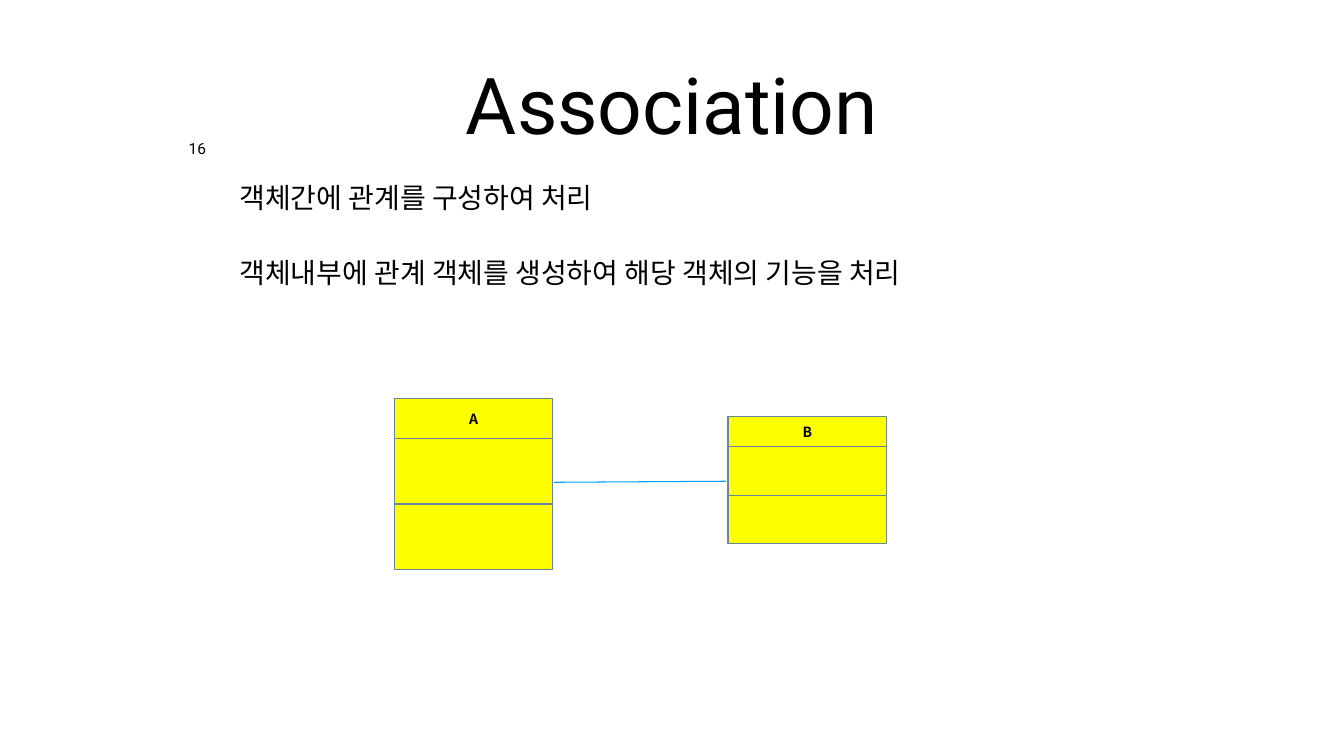
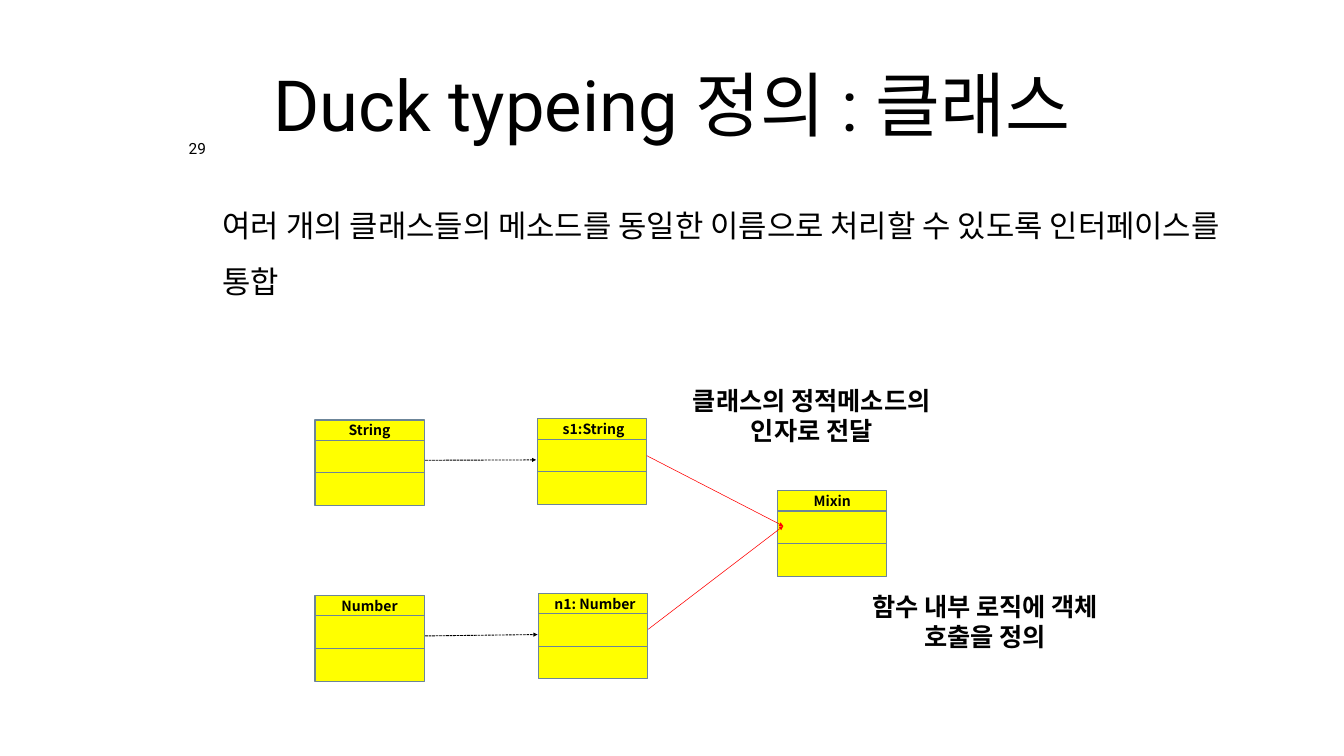
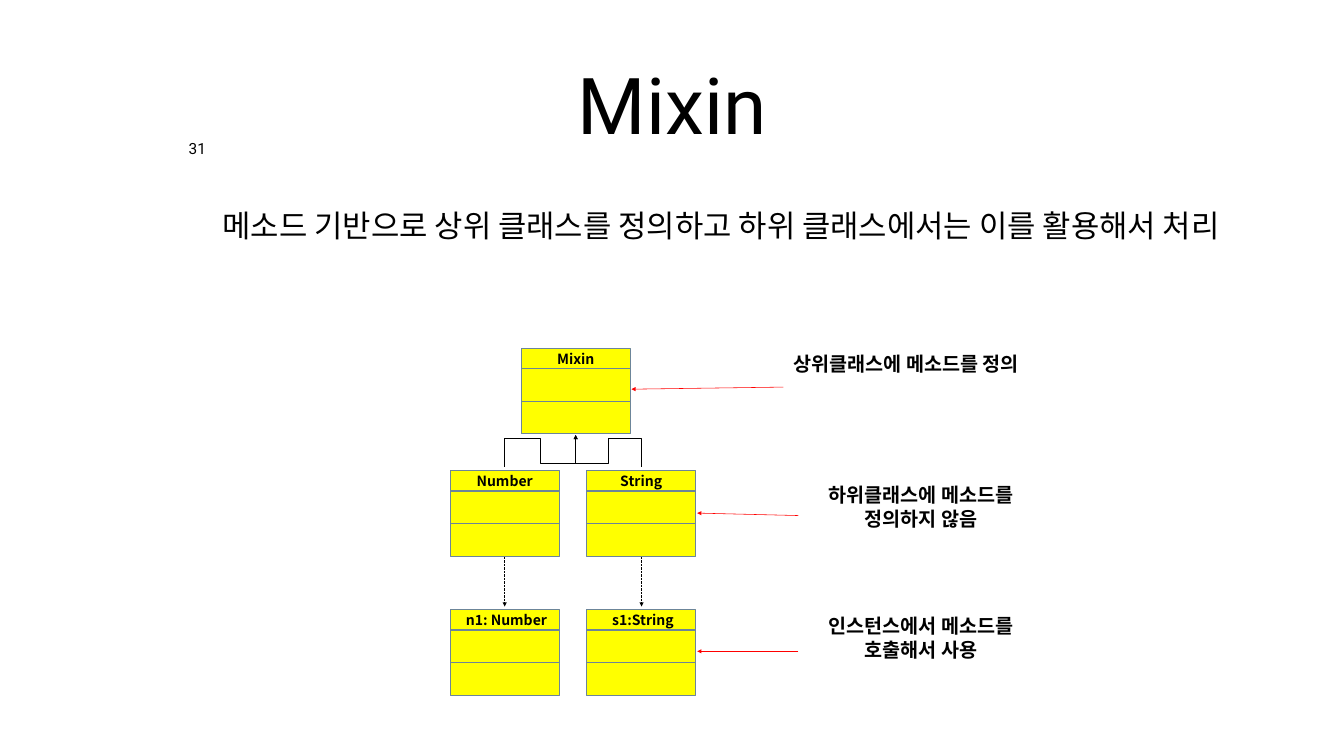
from lxml import etree
from pptx import Presentation
from pptx.dml.color import RGBColor
from pptx.enum.dml import MSO_LINE
from pptx.enum.shapes import MSO_CONNECTOR, MSO_SHAPE
from pptx.enum.text import MSO_ANCHOR, MSO_AUTO_SIZE, PP_ALIGN
from pptx.oxml.ns import qn
from pptx.util import Pt

COLORS = {"text": "000000", "box": "FFFF00", "border": "6C8599",
          "association": "00A2FF", "dependency": "000000", "call": "FF0000"}
LATIN_FONT, KOREAN_FONT = "Roboto", "Noto Sans CJK KR"
CENTER, LEFT = PP_ALIGN.CENTER, PP_ALIGN.LEFT

# Boxes: name, left, top.  Lines: kind, start x, start y, end x, end y.
# Notes: text, left, top.  Elbows: the x of each vertical run.
SLIDES = [
    {
        "title": "Association", "title_size": 112, "number": "16",
        "body": ["객체간에 관계를 구성하여 처리",
                 "객체내부에 관계 객체를 생성하여 해당 객체의 기능을 처리"],
        "body_area": (336, 252, 1475, 152), "body_size": 40, "body_spacing": 1,
        "box_width": 227,
        "boxes": [("A", 563, 569, 58, 93), ("B", 1040, 595.5, 43, 69)],
        "lines": [("association", 791, 689, 1037.5, 687.5)],
        "elbows": [], "notes": [], "note_area": (0, 0), "note_size": 0,
    },
    {
        "title": "Duck typeing 정의 : 클래스", "title_size": 100.8, "number": "29",
        "body": ["여러 개의 클래스들의 메소드를 동일한 이름으로 처리할 수 있도록 인터페이스를 통합"],
        "body_area": (312, 263.5, 1510, 209), "body_size": 44, "body_spacing": 1.5,
        "box_width": 156,
        "boxes": [("Mixin", 1111, 701), ("Number", 450, 851), ("String", 450, 600),
                  ("n1: Number", 769.5, 847.5), ("s1:String", 767.5, 598.5)],
        "lines": [("dependency", 607.5, 908.5, 768, 906.5),
                  ("dependency", 607.5, 657.5, 766, 657),
                  ("call", 924, 651, 1119, 751.5),
                  ("call", 926, 899, 1119, 751.5)],
        "elbows": [],
        "notes": [("함수 내부 로직에 객체 호출을 정의", 1186.5, 841.5, 442),
                  ("클래스의 정적메소드의 인자로 전달", 973.5, 547, 372)],
        "note_size": 36,
    },
    {
        "title": "Mixin", "title_size": 112, "number": "31",
        "body": ["메소드 기반으로 상위 클래스를 정의하고 하위 클래스에서는 이를 활용해서 처리"],
        "body_area": (312, 263.5, 1508, 186), "body_size": 44, "body_spacing": 1.5,
        "box_width": 156,
        "boxes": [("Mixin", 744.5, 498), ("Number", 643, 672.5), ("String", 838, 672.5),
                  ("n1: Number", 643, 871), ("s1:String", 838, 871)],
        "lines": [("dependency", 721, 795.5, 721, 866.5),
                  ("dependency", 916.5, 795.5, 916.5, 866.5),
                  ("call", 1119, 553, 902, 556),
                  ("call", 1140.5, 736.5, 996, 733),
                  ("call", 1140.5, 930.5, 996, 930.5)],
        "elbows": [(720.5, 772, 822.5), (916.5, 869.5, 822.5)],
        "notes": [("상위클래스에 메소드를 정의", 1119, 499.5, 351),
                  ("하위클래스에 메소드를 정의하지 않음", 1140.5, 687, 351),
                  ("인스턴스에서 메소드를 호출해서 사용", 1140.5, 874, 351)],
        "note_size": 28,
    },
]


def write_text(shape, lines, size, font=LATIN_FONT, bold=False, align=CENTER,
               spacing=1, margins=(6, 6), wrap=True, anchor=MSO_ANCHOR.TOP):
    """Fill a shape with paragraphs; margins are horizontal and vertical."""
    frame = shape.text_frame
    frame.text = "\n".join(lines)
    frame.word_wrap, frame.auto_size = wrap, MSO_AUTO_SIZE.NONE
    frame.vertical_anchor = anchor
    frame.margin_left = frame.margin_right = Pt(margins[0])
    frame.margin_top = frame.margin_bottom = Pt(margins[1])
    for index, paragraph in enumerate(frame.paragraphs):
        paragraph.alignment, paragraph.line_spacing = align, spacing
        paragraph.space_before = Pt(59 if index else 0)
        for run in paragraph.runs:
            run.font.name, run.font.size, run.font.bold = font, Pt(size), bold
            run.font.color.rgb = RGBColor.from_string(COLORS["text"])
            east_asian = etree.SubElement(run.font._element, qn("a:ea"))
            east_asian.set("typeface", KOREAN_FONT)


def style_line(shape, color, width, dashed=False, arrow=True):
    shape.line.color.rgb = RGBColor.from_string(COLORS[color])
    shape.line.width = Pt(width)
    if dashed:
        shape.line.dash_style = MSO_LINE.SQUARE_DOT
    if arrow:
        etree.SubElement(shape.line._get_or_add_ln(), qn("a:tailEnd")).set("type", "triangle")
    etree.SubElement(shape._element.spPr, qn("a:effectLst"))


presentation = Presentation()
presentation.slide_width, presentation.slide_height = Pt(1920), Pt(1080)
title_only = presentation.slide_layouts[5]

for content in SLIDES:
    slide = presentation.slides.add_slide(title_only)
    shapes = slide.shapes

    title = shapes.title
    title.left, title.top, title.width, title.height = Pt(345.5), Pt(28), Pt(1229), Pt(239)
    write_text(title, [content["title"]], content["title_size"], anchor=MSO_ANCHOR.MIDDLE)

    body = shapes.add_textbox(*map(Pt, content["body_area"]))
    write_text(body, content["body"], content["body_size"], align=LEFT,
               spacing=content["body_spacing"])

    for name, left, top, *heights in content["boxes"]:
        header_height, part_height = heights or (29, 46.5)
        class_box = shapes.add_group_shape()
        for part in range(3):
            part_top = top + (header_height + (part - 1) * part_height if part else 0)
            rectangle = class_box.shapes.add_shape(
                MSO_SHAPE.RECTANGLE, Pt(left), Pt(part_top), Pt(content["box_width"]),
                Pt(part_height if part else header_height))
            rectangle.fill.solid()
            rectangle.fill.fore_color.rgb = RGBColor.from_string(COLORS["box"])
            style_line(rectangle, "border", 1.5, arrow=False)
            if part == 0:
                write_text(rectangle, [name], 20, KOREAN_FONT, bold=True,
                           margins=(0, 0), anchor=MSO_ANCHOR.MIDDLE)
                if ":" in name:  # instance names sit slightly to the right
                    rectangle.text_frame.margin_left = Pt(5)

    for kind, *ends in content["lines"]:
        connector = shapes.add_connector(MSO_CONNECTOR.STRAIGHT, *map(Pt, ends))
        width = {"association": 1.5, "dependency": 1.25, "call": 0.79}[kind]
        style_line(connector, kind, width, dashed=kind == "dependency",
                   arrow=kind != "association")

    for start, middle, end in content["elbows"]:
        points = [(start, 666.5), (start, 627), (middle, 627),
                  (middle, 661.5), (end, 661.5), (end, 621.5)]
        corners = [(Pt(x), Pt(y)) for x, y in points]
        builder = shapes.build_freeform(*corners[0])
        builder.add_line_segments(corners[1:], close=False)
        inheritance = builder.convert_to_shape()
        inheritance.fill.background()
        style_line(inheritance, "dependency", 1.25)

    for text, left, top, width in content["notes"]:
        note = shapes.add_textbox(Pt(left), Pt(top), Pt(width),
                                  Pt(content["note_size"] * 2.6))
        write_text(note, [text], content["note_size"], KOREAN_FONT, bold=True,
                   margins=(7.2, 3.6))

    number = shapes.add_textbox(Pt(264), Pt(198), Pt(36), Pt(32))
    write_text(number, [content["number"]], 22, spacing=0.8, wrap=False)

presentation.save("out.pptx")
